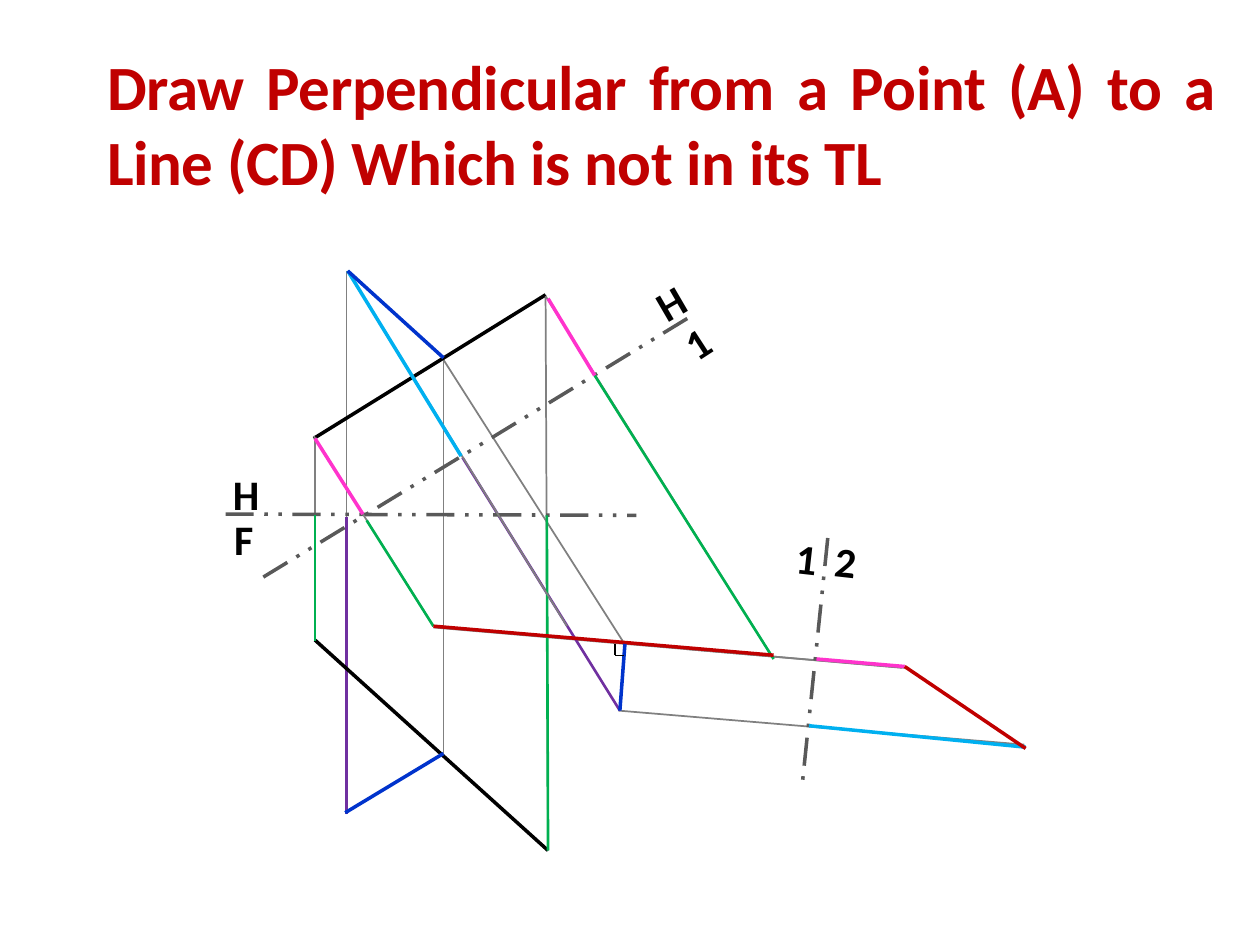
"""Build a slide showing a perpendicular drawn from a point to a line through auxiliary views."""
from pptx import Presentation
from pptx import util as u
from pptx.dml.color import RGBColor
from pptx.enum import dml, shapes, text
from pptx.oxml.ns import qn
from lxml import etree

COLORS = {
    "white": "FFFFFF", "black": "000000", "grey": "808080", "dark": "595959",
    "purple": "7030A0", "green": "00B050", "red": "C00000", "pink": "FF33CC",
    "sky": "00B0F0", "blue": "0033CC",
}

STYLES = {
    "projector": ("grey", 1), "offset": ("purple", 1.5), "edge": ("black", 2),
    "fold": ("dark", 2), "depth": ("green", 1.5), "true length": ("red", 2),
    "end distance": ("pink", 2), "point distance": ("sky", 2),
    "perpendicular": ("blue", 2), "right angle": ("black", 0.75),
}

LINES = [
    ("projector", 8.13, 5.91, 4.91, 5.64),
    ("projector", 2.75, 2.15, 2.75, 6.45),
    ("projector", 3.52, 2.86, 3.52, 5.98),
    ("projector", 3.51, 2.84, 4.95, 5.1),
    ("projector", 7.16, 5.3, 5.43, 5.15),
    ("projector", 7.18, 5.3, 3.44, 4.98),
    ("offset", 3.67, 3.63, 4.92, 5.64),
    ("offset", 2.75, 4.1, 2.75, 6.46),
    ("edge", 2.5, 5.08, 4.35, 6.75),
    ("projector", 2.5, 3.48, 2.5, 5.08),
    ("projector", 4.33, 2.34, 4.35, 6.75),
    ("edge", 2.49, 3.48, 4.33, 2.34),
    ("fold", 1.79, 4.08, 5.05, 4.09),
    ("fold", 2.09, 4.58, 5.5, 2.5),
    ("projector", 3.44, 4.97, 2.49, 3.46),
    ("projector", 6.14, 5.23, 4.33, 2.35),
    ("depth", 2.5, 4.09, 2.5, 5.09),
    ("depth", 2.91, 4.13, 3.44, 4.97),
    ("depth", 4.34, 4.09, 4.35, 6.75),
    ("depth", 4.72, 2.98, 6.14, 5.23),
    ("true length", 3.44, 4.97, 6.14, 5.2),
    ("projector", 4.5, 4.97, 2.76, 2.15),
    ("fold", 6.57, 4.27, 6.37, 6.2),
    ("end distance", 2.5, 3.48, 2.88, 4.08),
    ("end distance", 4.35, 2.37, 4.72, 2.98),
    ("end distance", 6.48, 5.23, 7.18, 5.29),
    ("point distance", 2.76, 2.15, 3.66, 3.62),
    ("point distance", 6.42, 5.76, 8.14, 5.93),
    ("perpendicular", 4.96, 5.11, 4.92, 5.64),
    ("true length", 7.18, 5.29, 8.14, 5.94),
    ("perpendicular", 2.76, 2.15, 3.52, 2.84),
    ("perpendicular", 2.74, 6.45, 3.52, 5.98),
    ("right angle", 4.88, 5.11, 4.88, 5.2),
    ("right angle", 4.88, 5.2, 4.95, 5.2),
]

PLANE_LABELS = [
    ("F", 1.76, 4.03, 0.36, 0), ("H", 1.75, 3.67, 0.41, 0),
    ("1", 5.35, 2.47, 0.37, 327), ("H", 5.12, 2.15, 0.41, 329.8),
    ("1", 6.22, 4.18, 0.37, 6.4), ("2", 6.53, 4.2, 0.37, 6.4),
]


def add_span(para, words, size, color):
    span = para.add_run()
    span.text = words
    span.font.name = "Calibri"
    span.font.size = u.Pt(size)
    span.font.bold = True
    span.font.color.rgb = RGBColor.from_string(COLORS[color])
    return span


deck = Presentation()
deck.slide_width, deck.slide_height = u.Inches(10), u.Inches(7.5)
page = deck.slides.add_slide(deck.slide_layouts[5])

title = page.shapes.title
title.left, title.top = u.Inches(0.75), u.Inches(0.28)
title.width, title.height = u.Inches(9), u.Inches(1.39)
title.fill.solid()
title.fill.fore_color.rgb = RGBColor.from_string(COLORS["white"])
frame = title.text_frame
frame.word_wrap = True
frame.auto_size = text.MSO_AUTO_SIZE.NONE
frame.vertical_anchor = text.MSO_ANCHOR.MIDDLE
para = frame.paragraphs[0]
para.alignment = text.PP_ALIGN.JUSTIFY
heading = add_span(
    para, "Draw Perpendicular from a Point (A) to a Line (CD) Which is not in its TL", 36, "red")
heading._r.get_or_add_rPr().set("spc", "-20")

for style, *ends in LINES:
    color, width = STYLES[style]
    line = page.shapes.add_connector(
        shapes.MSO_CONNECTOR.STRAIGHT, *[u.Inches(end) for end in ends])
    line.line.color.rgb = RGBColor.from_string(COLORS[color])
    line.line.width = u.Pt(width)
    if style == "fold":
        line.line.dash_style = dml.MSO_LINE.DASH_DOT_DOT
    etree.SubElement(line._element.spPr, qn("a:effectLst"))

for words, left, top, width, angle in PLANE_LABELS:
    box = page.shapes.add_textbox(u.Inches(left), u.Inches(top), u.Inches(width), u.Inches(0.5))
    box.rotation = angle
    box.text_frame.word_wrap = False
    box.text_frame.auto_size = text.MSO_AUTO_SIZE.SHAPE_TO_FIT_TEXT
    add_span(box.text_frame.paragraphs[0], words, 24, "black")

deck.save("out.pptx")
